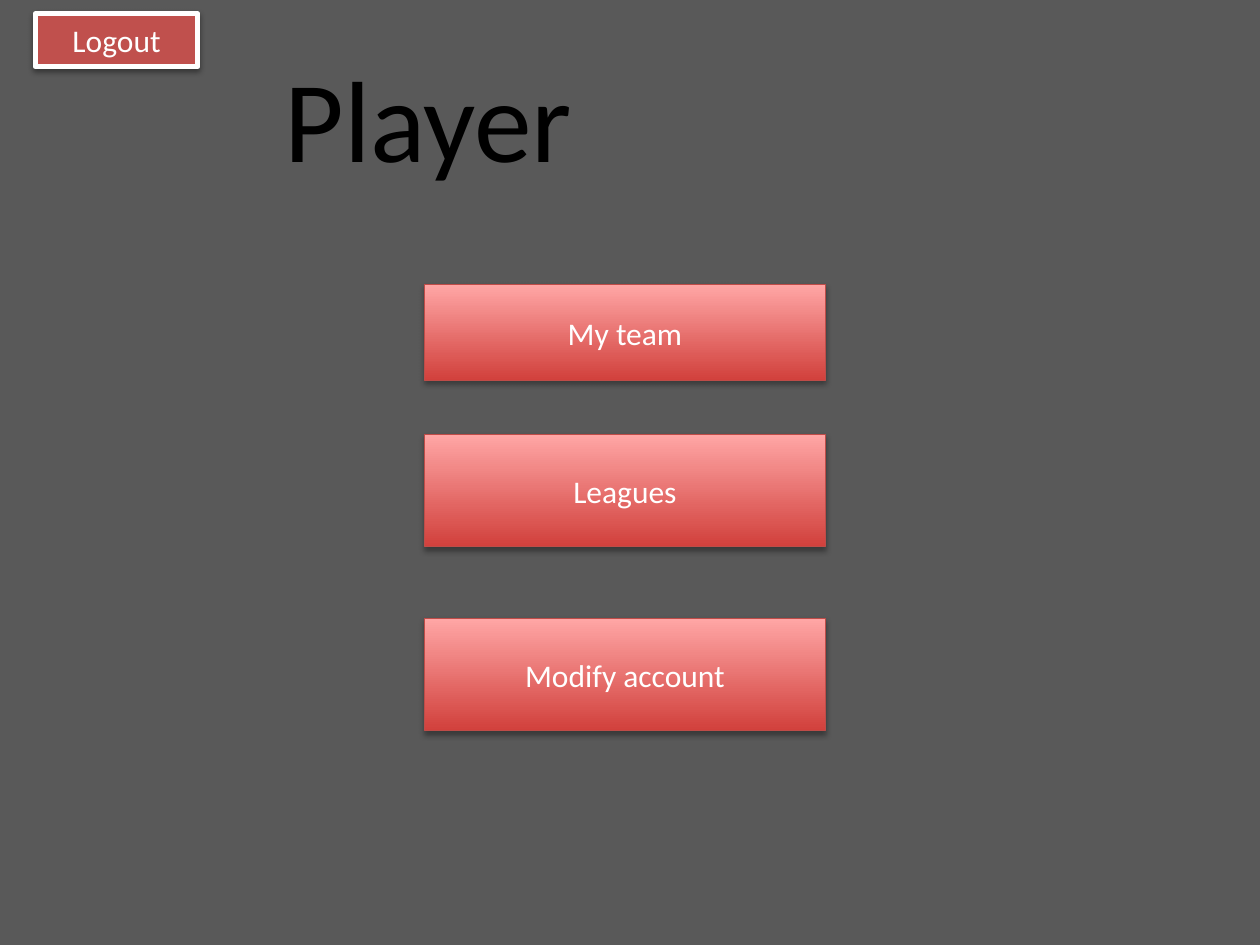
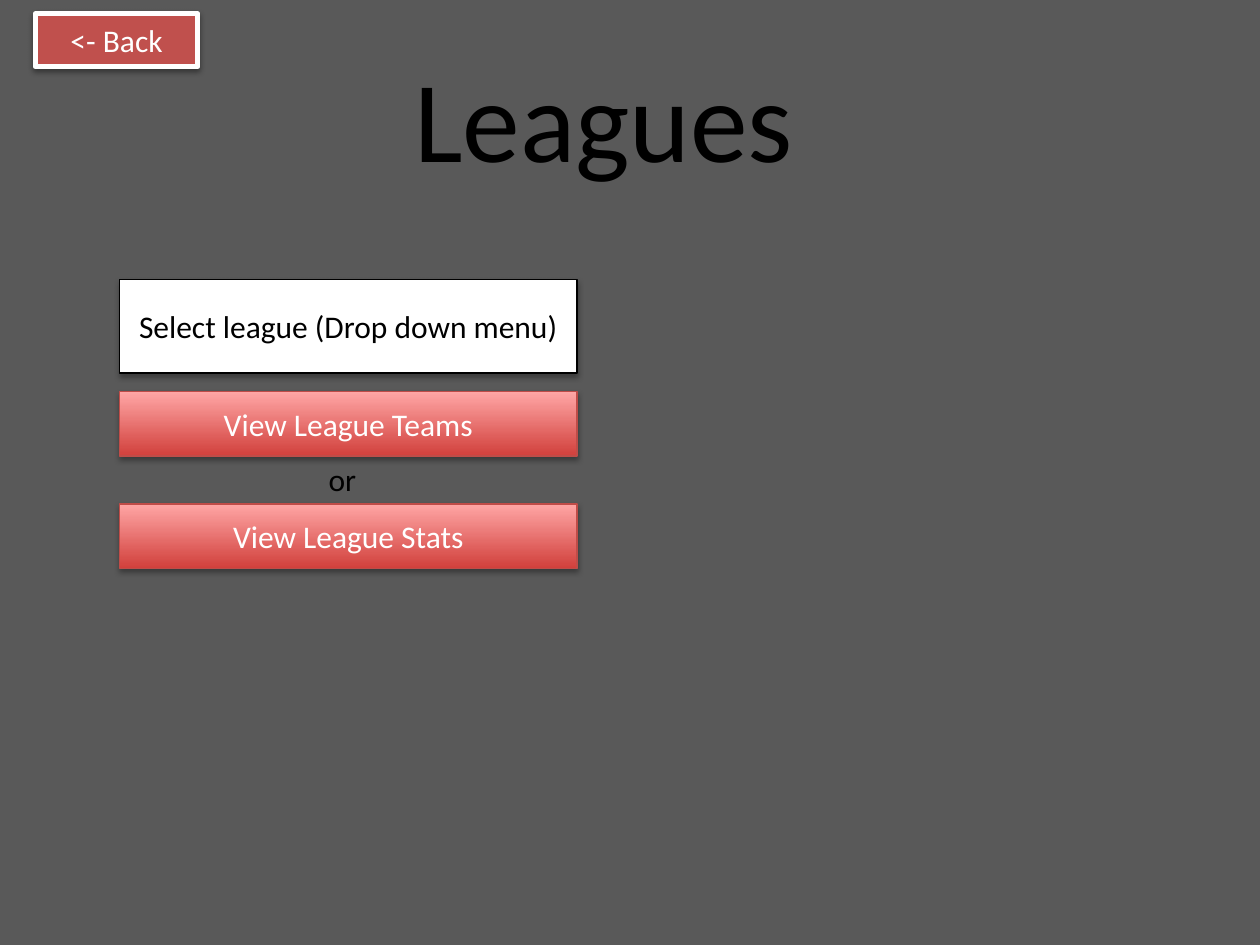
from lxml import etree
from pptx import Presentation
from pptx.dml.color import RGBColor
from pptx.enum.shapes import MSO_SHAPE
from pptx.enum.text import MSO_ANCHOR, MSO_AUTO_SIZE, PP_ALIGN
from pptx.oxml.ns import qn
from pptx.util import Inches, Pt

RECT = MSO_SHAPE.RECTANGLE
MIDDLE = MSO_ANCHOR.MIDDLE
GROW = MSO_AUTO_SIZE.SHAPE_TO_FIT_TEXT
CENTER, LEFT = PP_ALIGN.CENTER, PP_ALIGN.LEFT

FONT = "Calibri"
BACKGROUND, BLACK, WHITE = "595959", "000000", "FFFFFF"
RED_GRADIENT = ("D1403C", "FFA6A5")  # bottom, top

# Shadow is (opacity in percent, distance in points).
ACTION = dict(fill=RED_GRADIENT, line="BF4C48", weight=0.75,
              color=WHITE, shadow=(35, 1.81))
FIELD = dict(ACTION, fill=WHITE, line=BLACK, color=BLACK)
NAVIGATION = dict(fill="C0504D", line=WHITE, weight=3,
                  color=WHITE, shadow=(38, 1.57))


def rgb(value):
    """Turn a hex string into a colour."""
    return RGBColor.from_string(value)


def write(tf, text, size, color, align):
    """Put one formatted line of text in a text frame."""
    p = tf.paragraphs[0]
    p.alignment = align
    r = p.add_run()
    r.text = text
    for name, value in dict(name=FONT, size=Pt(size)).items():
        setattr(r.font, name, value)
    r.font.color.rgb = rgb(color)


def add_shadow(sp, opacity, distance):
    """Give a shape a soft shadow that falls straight down."""
    sp.shadow.inherit = False
    effects = sp._element.spPr.find(qn("a:effectLst"))
    shadow = etree.SubElement(
        effects, qn("a:outerShdw"), blurRad=str(Pt(3.15)),
        dist=str(Pt(distance)), dir="5400000", rotWithShape="0")
    color = etree.SubElement(shadow, qn("a:srgbClr"), val=BLACK)
    etree.SubElement(color, qn("a:alpha"), val=str(opacity * 1000))


def add_button(s, text, box, style):
    """Draw a labelled rectangle in the given style."""
    sp = s.shapes.add_shape(RECT, *map(Inches, box))
    if isinstance(style["fill"], tuple):
        sp.fill.gradient()
        sp.fill.gradient_angle = 90
        for stop, color in zip(sp.fill.gradient_stops, style["fill"]):
            stop.color.rgb = rgb(color)
    else:
        sp.fill.solid()
        sp.fill.fore_color.rgb = rgb(style["fill"])
    sp.line.color.rgb = rgb(style["line"])
    sp.line.width = Pt(style["weight"])
    add_shadow(sp, *style["shadow"])
    sp.text_frame.vertical_anchor = MIDDLE
    write(sp.text_frame, text, 18, style["color"], CENTER)


def add_label(s, text, box, size):
    """Place plain black text in a box."""
    tf = s.shapes.add_textbox(*map(Inches, box)).text_frame
    for name, value in dict(word_wrap=True, auto_size=GROW).items():
        setattr(tf, name, value)
    write(tf, text, size, BLACK, LEFT)


def add_screen(prs, title, title_left, navigation):
    """Add a slide with the shared background, title and corner button."""
    s = prs.slides.add_slide(prs.slide_layouts[6])
    s.background.fill.solid()
    s.background.fill.fore_color.rgb = rgb(BACKGROUND)
    add_label(s, title, (title_left, 0.32, 6.39, 1.21), 66)
    add_button(s, navigation, (0.28, 0.11, 1.29, 0.42), NAVIGATION)
    return s


def add_player_menu(s, left, top, width):
    """Stack the player's choices; each row is (text, offset, height)."""
    rows = [("My team", 0, 0.76), ("Leagues", 1.19, 0.89),
            ("Modify account", 2.65, 0.89)]
    for text, offset, height in rows:
        add_button(s, text, (left, top + offset, width, height), ACTION)


def add_league_picker(s, left, top, width):
    """Place the league field above its two alternative actions."""
    add_button(s, "Select league (Drop down menu)",
               (left, top, width, 0.74), FIELD)
    for i, text in enumerate(["View League Teams", "View League Stats"]):
        add_button(s, text, (left, top + 0.89 * (i + 1), width, 0.51), ACTION)
    add_label(s, "or", (left + 1.56, top + 1.38, 0.68, 0.4), 18)


prs = Presentation()
prs.slide_width, prs.slide_height = Inches(10), Inches(7.5)
add_player_menu(add_screen(prs, "Player", 2.16, "Logout"), 3.37, 2.26, 3.18)
add_league_picker(add_screen(prs, "Leagues", 3.19, "<- Back"), 0.95, 2.22, 3.63)
prs.save("out.pptx")
